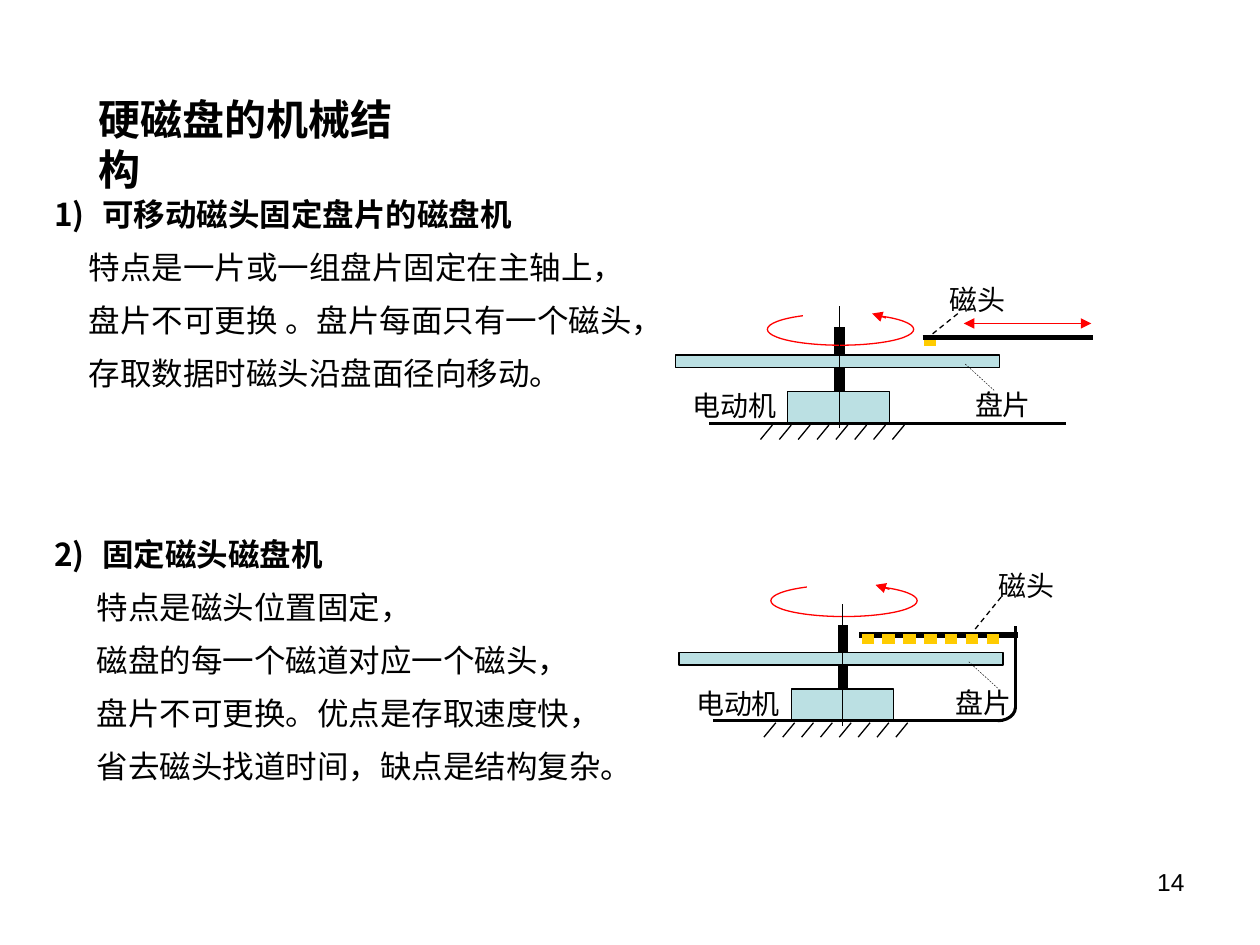
from pptx import Presentation
from pptx.dml.color import RGBColor
from pptx.enum.dml import MSO_LINE
from pptx.enum.lang import MSO_LANGUAGE_ID
from pptx.enum.shapes import MSO_CONNECTOR, MSO_SHAPE
from pptx.enum.text import MSO_ANCHOR, MSO_AUTO_SIZE, PP_ALIGN
from pptx.oxml.ns import qn
from pptx.oxml.xmlchemy import OxmlElement
from pptx.util import Cm, Pt

BLACK = RGBColor(0x00, 0x00, 0x00)
WHITE = RGBColor(0xFF, 0xFF, 0xFF)
RED = RGBColor(0xFF, 0x00, 0x00)
GOLD = RGBColor(0xFF, 0xCC, 0x00)
PALE_BLUE = RGBColor(0xBB, 0xE0, 0xE3)

RECTANGLE, OVAL, ARC = MSO_SHAPE.RECTANGLE, MSO_SHAPE.OVAL, MSO_SHAPE.ARC
STRAIGHT = MSO_CONNECTOR.STRAIGHT
DASH = MSO_LINE.DASH
TOP, MIDDLE = MSO_ANCHOR.TOP, MSO_ANCHOR.MIDDLE
LEFT, CENTER, RIGHT = PP_ALIGN.LEFT, PP_ALIGN.CENTER, PP_ALIGN.RIGHT
NO_RESIZE = MSO_AUTO_SIZE.NONE
CHINESE = MSO_LANGUAGE_ID.SIMPLIFIED_CHINESE

TWO_CONTENT = 3
FONT = "Arial"


def write_text(para, text, size=18, bold=False, align=LEFT, spacing=None):
    para.alignment = align
    para.space_before = Pt(0)
    if spacing:
        para.line_spacing = spacing
    span = para.add_run()
    span.text = text
    span.font.name = FONT
    span.font.size = Pt(size)
    span.font.bold = bold
    span.font.color.rgb = BLACK
    span.font.language_id = CHINESE


def set_indent(para, margin, first_line=0, number=None):
    properties = para._p.get_or_add_pPr()
    properties.set("marL", str(Cm(margin)))
    properties.set("indent", str(Cm(first_line)))
    bullet = OxmlElement("a:buAutoNum" if number else "a:buNone")
    if number:
        bullet.set("type", "arabicParenR")
        bullet.set("startAt", str(number))
    properties.append(bullet)


class Sketch:
    def __init__(self, page):
        self.page = page
        self.origin = (0, 0)

    def place(self, x, y):
        return Cm(self.origin[0] + x), Cm(self.origin[1] + y)

    def frame(self, box, left, top, width, height, anchor=TOP, wrap=True):
        box.left, box.top = self.place(left, top)
        box.width, box.height = Cm(width), Cm(height)
        frame = box.text_frame
        frame.auto_size = NO_RESIZE
        frame.word_wrap = wrap
        frame.vertical_anchor = anchor
        return frame

    def title(self, text, *bounds):
        frame = self.frame(self.page.shapes.title, *bounds, wrap=False)
        write_text(frame.paragraphs[0], text, size=24, bold=True)

    def section(self, number, heading, lines, margin, *bounds):
        frame = self.frame(self.page.placeholders[number], *bounds)
        para = frame.paragraphs[0]
        write_text(para, heading, bold=True, spacing=1.4)
        set_indent(para, 0.97, -0.97, number)
        for line in lines:
            para = frame.add_paragraph()
            write_text(para, line, spacing=1.4)
            set_indent(para, margin)

    def text(self, text, left, top, width, height, size, align, **layout):
        box = self.page.shapes.add_textbox(0, 0, 0, 0)
        frame = self.frame(box, left, top, width, height, **layout)
        write_text(frame.paragraphs[0], text, size=size, align=align)

    def label(self, text, x, y):
        self.text(text, x - 0.28, y - 0.18, 0.56, 0.36, 16, CENTER,
                  anchor=MIDDLE, wrap=False)

    def shape(self, kind, left, top, width, height, fill=None, line=BLACK, weight=0.75):
        shape = self.page.shapes.add_shape(
            kind, *self.place(left, top), Cm(width), Cm(height))
        shape.shadow.inherit = False
        if fill is None:
            shape.fill.background()
        else:
            shape.fill.solid()
            shape.fill.fore_color.rgb = fill
        shape.line.color.rgb = line
        shape.line.width = Pt(weight)
        return shape

    def line(self, x1, y1, x2, y2, color=BLACK, weight=0.75, dash=None, ends=()):
        connector = self.page.shapes.add_connector(
            STRAIGHT, *self.place(x1, y1), *self.place(x2, y2))
        connector.line.color.rgb = color
        connector.line.width = Pt(weight)
        if dash:
            connector.line.dash_style = dash
        properties = connector._element.spPr
        for end in ends:
            arrow = OxmlElement(f"a:{end}")
            arrow.set("type", "triangle")
            properties.find(qn("a:ln")).append(arrow)
        properties.append(OxmlElement("a:effectLst"))

    def drive(self, shaft_x, base_y, spin_top, base_end, disc_label_x, head_label, head_leader):
        self.origin = (shaft_x, base_y)
        self.line(0, -1.93, 0, -0.1, weight=6)
        self.shape(RECTANGLE, -1.04, -0.64, 2.06, 0.66, PALE_BLUE)
        for index in range(8):
            x = -1.35 + 0.38 * index
            self.line(x, 0.04, x - 0.24, 0.33)
        self.line(-2.62, 0, base_end, 0, weight=1.75)
        self.shape(OVAL, -1.45, spin_top, 2.95, 0.64, line=RED)
        self.shape(RECTANGLE, -0.71, spin_top - 0.08, 1.42, 0.25, WHITE, WHITE)
        self.line(0.94, spin_top + 0.09, 0.66, spin_top, RED, ends=("tailEnd",))
        self.shape(RECTANGLE, -3.3, -1.37, 6.53, 0.25, PALE_BLUE)
        self.line(0, 0.1, 0, -2.36)
        self.label("盘片", disc_label_x, -0.38)
        self.label("电动机", -2.11, -0.36)
        self.label("磁头", *head_label)
        self.line(*head_leader, dash=DASH)
        self.line(2.54, -1.19, 3.12, -0.66, weight=0.25, dash=DASH)

    def head(self, x):
        self.line(x, -1.65, x + 0.25, -1.65, GOLD, 6)

    def moving_arm(self):
        self.head(1.7)
        self.line(1.68, -1.73, 5.11, -1.73, weight=3)
        self.line(5.08, -2.01, 2.51, -2.01, RED, ends=("headEnd", "tailEnd"))

    def fixed_arm(self):
        self.line(0.33, -1.73, 3.53, -1.73, weight=3)
        for index in range(7):
            self.head(0.38 + 0.42 * index)
        self.line(3.48, -1.91, 3.48, -0.23, weight=1.75)
        corner = self.shape(ARC, 2.77, -0.53, 0.71, 0.53, weight=1.75)
        corner.adjustments[0] = 0
        corner.adjustments[1] = 54


def main():
    deck = Presentation()
    deck.slide_width, deck.slide_height = Cm(25.4), Cm(19.05)
    page = deck.slides.add_slide(deck.slide_layouts[TWO_CONTENT])
    sketch = Sketch(page)

    sketch.title("硬磁盘的机械结构", 1.73, 1.75, 7.26, 1.27)
    sketch.section(1, "可移动磁头固定盘片的磁盘机", (
        "特点是一片或一组盘片固定在主轴上，",
        "盘片不可更换 。盘片每面只有一个磁头，",
        "存取数据时磁头沿盘面径向移动。",
    ), 0.7, 0.84, 3.51, 14.68, 4.52)
    sketch.section(2, "固定磁头磁盘机", (
        "特点是磁头位置固定，",
        "磁盘的每一个磁道对应一个磁头，",
        "盘片不可更换。优点是存取速度快，",
        "省去磁头找道时间，缺点是结构复杂。",
    ), 0.86, 0.84, 10.36, 14.05, 5.59)
    sketch.text("14", 18.21, 17.35, 5.92, 1.32, 14, RIGHT)

    sketch.drive(16.92, 8.53, -2.21, 4.57, 3.3, (2.79, -2.49),
                 (1.88, -1.8, 2.39, -2.21))
    sketch.moving_arm()
    sketch.drive(16.99, 14.53, -2.74, 3.23, 2.84, (3.71, -2.74),
                 (2.67, -1.85, 3.23, -2.54))
    sketch.fixed_arm()

    deck.save("out.pptx")


if __name__ == "__main__":
    main()
